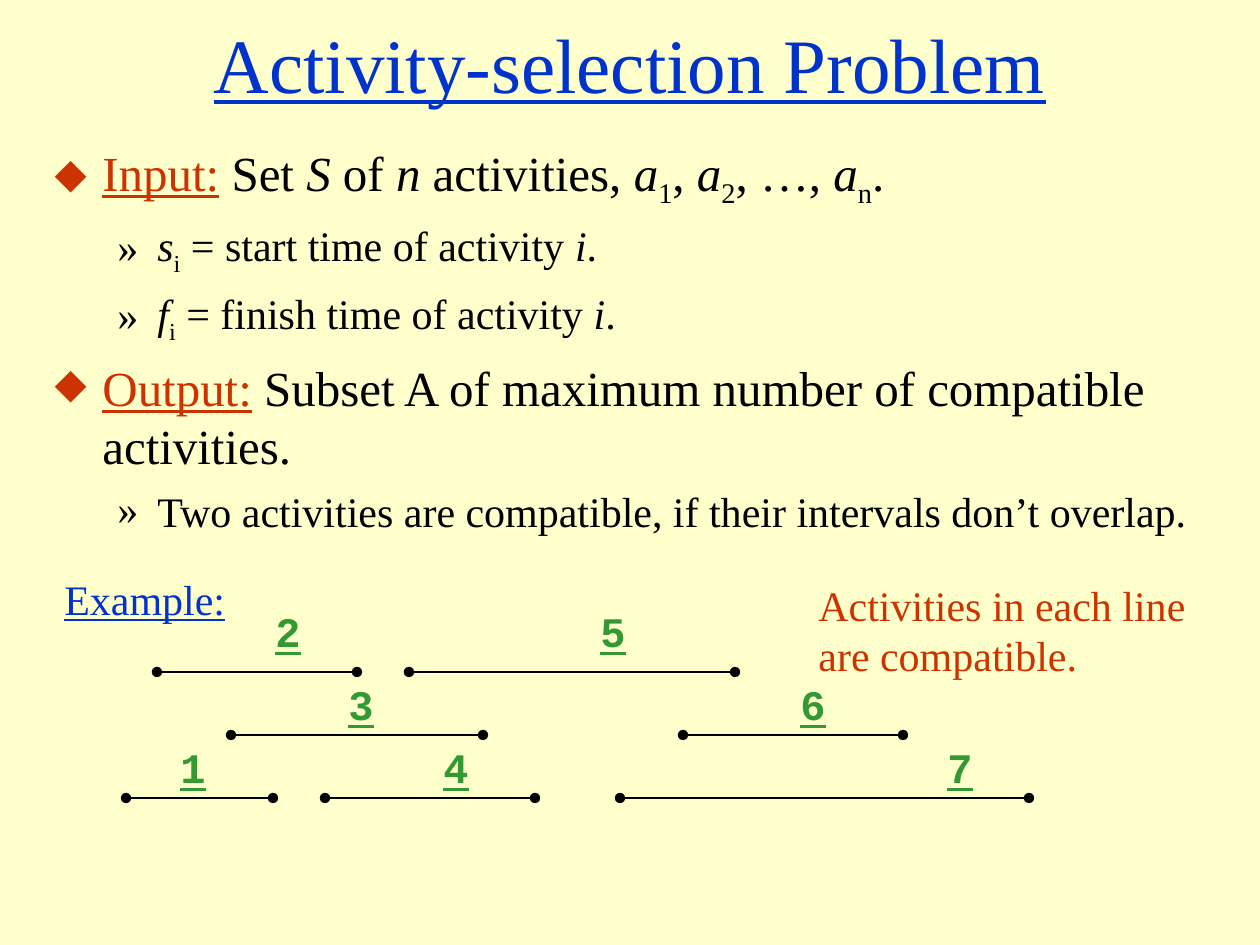
from dataclasses import dataclass

from lxml.etree import SubElement
from pptx import Presentation
from pptx.dml.color import RGBColor
from pptx.enum.shapes import MSO_CONNECTOR
from pptx.enum.text import MSO_ANCHOR, MSO_AUTO_SIZE, PP_ALIGN
from pptx.oxml.ns import qn
from pptx.slide import Slide
from pptx.util import Emu, Pt

EMU_PER_PX = 914400 / 126


@dataclass(frozen=True)
class Theme:
    paper: str = "FFFFCC"
    blue: str = "0033CC"
    red: str = "CC3300"
    green: str = "339933"
    ink: str = "010000"
    black: str = "000000"
    serif: str = "Times New Roman"
    mono: str = "Courier New"
    title: int = 44
    point: int = 28
    small: int = 24


THEME = Theme()


@dataclass(frozen=True)
class Span:
    text: str
    italic: bool = False
    subscript: bool = False
    heading: bool = False


@dataclass(frozen=True)
class Level:
    size: int
    colour: str
    bullet: str
    bullet_colour: str
    margin: int
    hanging: int
    space_before: int


@dataclass(frozen=True)
class Para:
    spans: list[Span]
    level: Level | None = None


@dataclass(frozen=True)
class Activity:
    number: int
    start: int
    finish: int
    label_left: int


@dataclass(frozen=True)
class Row:
    line_top: int
    label_top: int
    activities: list[Activity]


POINT = Level(THEME.point, THEME.ink, "⬥", THEME.red, 48, 48, 7)
DETAIL = Level(THEME.small, THEME.black, "»", THEME.black, 103, 40, 6)


def px(length: int) -> Emu:
    return Emu(round(length * EMU_PER_PX))


def plain(text: str) -> Para:
    return Para([Span(text)])


def variable(name: str, index: str) -> list[Span]:
    return [Span(name, italic=True), Span(index, subscript=True)]


def time_of_activity(name: str, meaning: str) -> Para:
    return Para([*variable(name, "i"), Span(f" = {meaning} time of activity "),
                 Span("i", italic=True), Span(".")], DETAIL)


def set_bullet(para, level: Level) -> None:
    properties = para._p.get_or_add_pPr()
    properties.set("marL", str(px(level.margin)))
    properties.set("indent", str(-px(level.hanging)))
    colour = SubElement(properties, qn("a:buClr"))
    SubElement(colour, qn("a:srgbClr"), val=level.bullet_colour)
    SubElement(properties, qn("a:buFont"), typeface=THEME.serif)
    SubElement(properties, qn("a:buChar"), char=level.bullet)


def add_text(page: Slide, frame: tuple[int, int, int, int], paras: list[Para], *,
             size: int = THEME.small, colour: str = THEME.black, font: str = THEME.serif,
             bold: bool = False, underline: bool = False, wrap: bool = False,
             align: PP_ALIGN = PP_ALIGN.LEFT, anchor: MSO_ANCHOR = MSO_ANCHOR.TOP) -> None:
    box = page.shapes.add_textbox(*map(px, frame))
    body = box.text_frame
    body.word_wrap = wrap
    body.auto_size = MSO_AUTO_SIZE.NONE if wrap else MSO_AUTO_SIZE.SHAPE_TO_FIT_TEXT
    body.vertical_anchor = anchor
    for position, content in enumerate(paras):
        para = body.add_paragraph() if position else body.paragraphs[0]
        para.alignment = align
        level = content.level
        if level:
            if position:
                para.space_before = Pt(level.space_before)
            set_bullet(para, level)
        for part in content.spans:
            span = para.add_run()
            span.text = part.text
            span.font.name = font
            span.font.size = Pt(level.size if level else size)
            span.font.bold = bold
            span.font.italic = part.italic
            span.font.underline = underline or part.heading
            text_colour = THEME.red if part.heading else level.colour if level else colour
            span.font.color.rgb = RGBColor.from_string(text_colour)
            if part.subscript:
                span._r.get_or_add_rPr().set("baseline", "-25000")


def add_interval(page: Slide, start: int, finish: int, top: int) -> None:
    line = page.shapes.add_connector(MSO_CONNECTOR.STRAIGHT, px(start), px(top),
                                     px(finish), px(top))
    line.line.color.rgb = RGBColor.from_string(THEME.black)
    line.line.width = Pt(1)
    outline = line.line._get_or_add_ln()
    for end in ("a:headEnd", "a:tailEnd"):
        SubElement(outline, qn(end), type="oval")
    SubElement(line._element.spPr, qn("a:effectLst"))


def add_row(page: Slide, row: Row) -> None:
    for activity in row.activities:
        add_interval(page, activity.start, activity.finish, row.line_top)
        add_text(page, (activity.label_left, row.label_top, 50, 63),
                 [plain(str(activity.number))], colour=THEME.green, font=THEME.mono,
                 bold=True, underline=True)


DEFINITION = [
    Para([Span("Input:", heading=True), Span(" Set "), Span("S", italic=True), Span(" of "),
          Span("n ", italic=True), Span("activities, "), *variable("a", "1"), Span(", "),
          *variable("a", "2"), Span(", …, "), *variable("a", "n"), Span(".")], POINT),
    time_of_activity("s", "start"),
    time_of_activity("f", "finish"),
    Para([Span("Output:", heading=True),
          Span(" Subset A of maximum number of compatible activities.")], POINT),
    Para([Span("Two activities are compatible, if their intervals don’t overlap.")], DETAIL),
]

ROWS = [
    Row(672, 599, [Activity(2, 157, 357, 263), Activity(5, 409, 735, 588)]),
    Row(735, 672, [Activity(3, 231, 483, 336), Activity(6, 683, 903, 788)]),
    Row(798, 735, [Activity(1, 126, 273, 168), Activity(4, 325, 535, 431),
                   Activity(7, 620, 1029, 935)]),
]


def main() -> None:
    deck = Presentation()
    deck.slide_width, deck.slide_height = px(1260), px(945)
    page = deck.slides.add_slide(deck.slide_layouts[6])
    page.background.fill.solid()
    page.background.fill.fore_color.rgb = RGBColor.from_string(THEME.paper)

    # Title and problem definition
    add_text(page, (0, 0, 1260, 126), [plain("Activity-selection Problem")],
             size=THEME.title, colour=THEME.blue, underline=True, wrap=True,
             align=PP_ALIGN.CENTER, anchor=MSO_ANCHOR.MIDDLE)
    add_text(page, (42, 136, 1168, 420), DEFINITION, wrap=True)

    # Example: rows of compatible intervals
    add_text(page, (52, 567, 190, 63), [plain("Example:")], colour=THEME.blue, underline=True)
    add_text(page, (806, 573, 400, 113),
             [plain("Activities in each line"), plain("are compatible.")], colour=THEME.red)
    for row in ROWS:
        add_row(page, row)

    deck.save("out.pptx")


if __name__ == "__main__":
    main()
